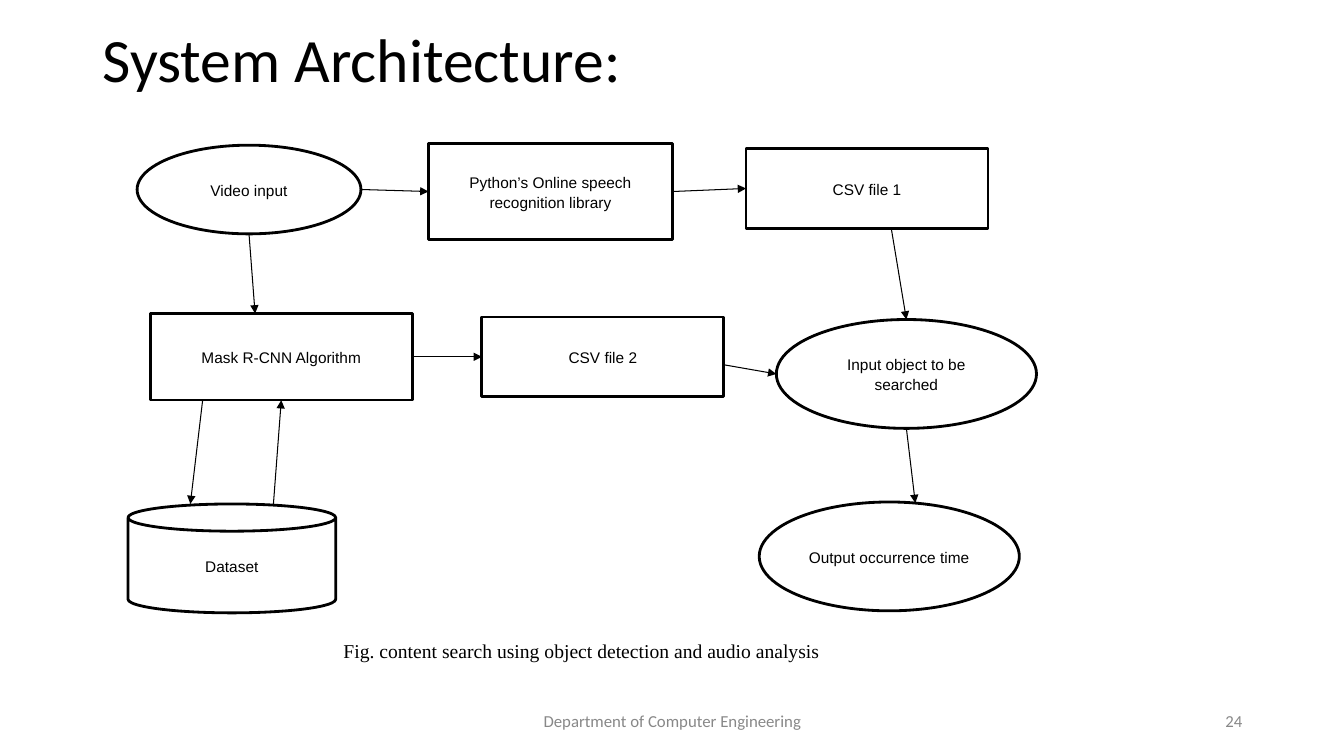
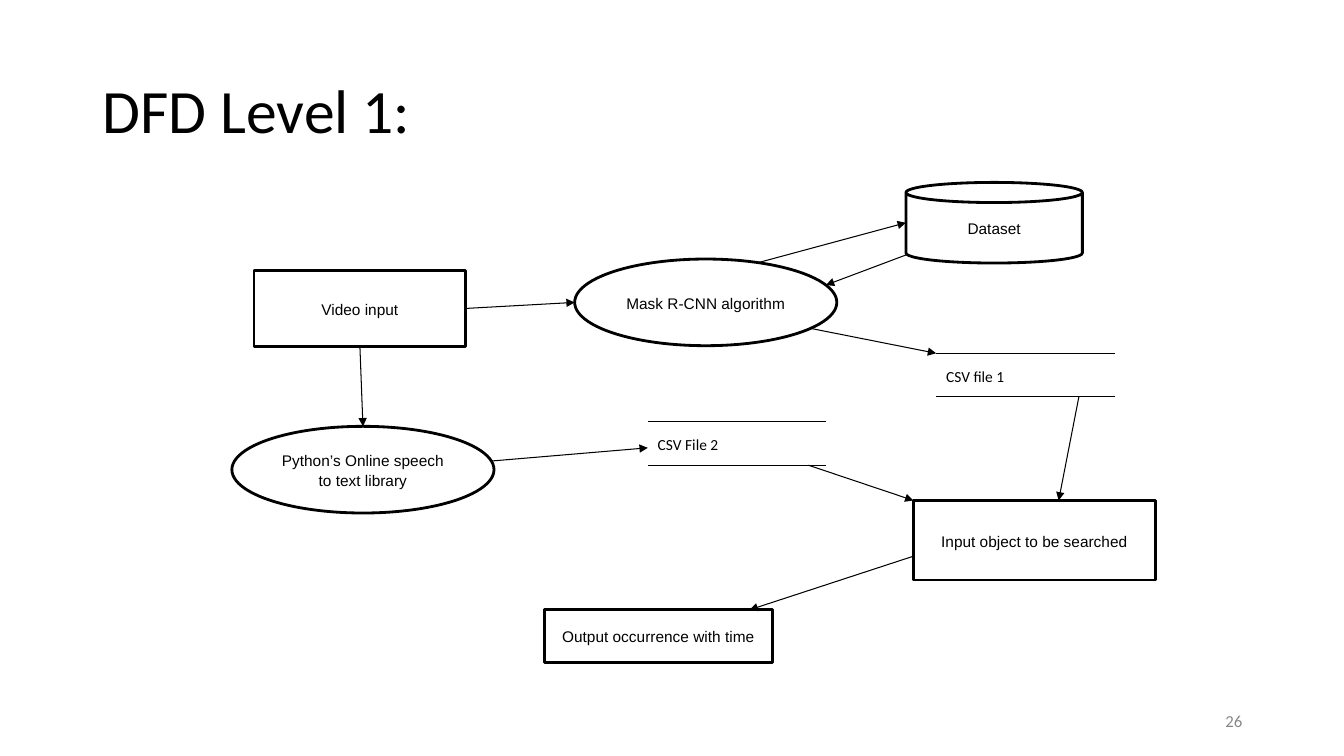
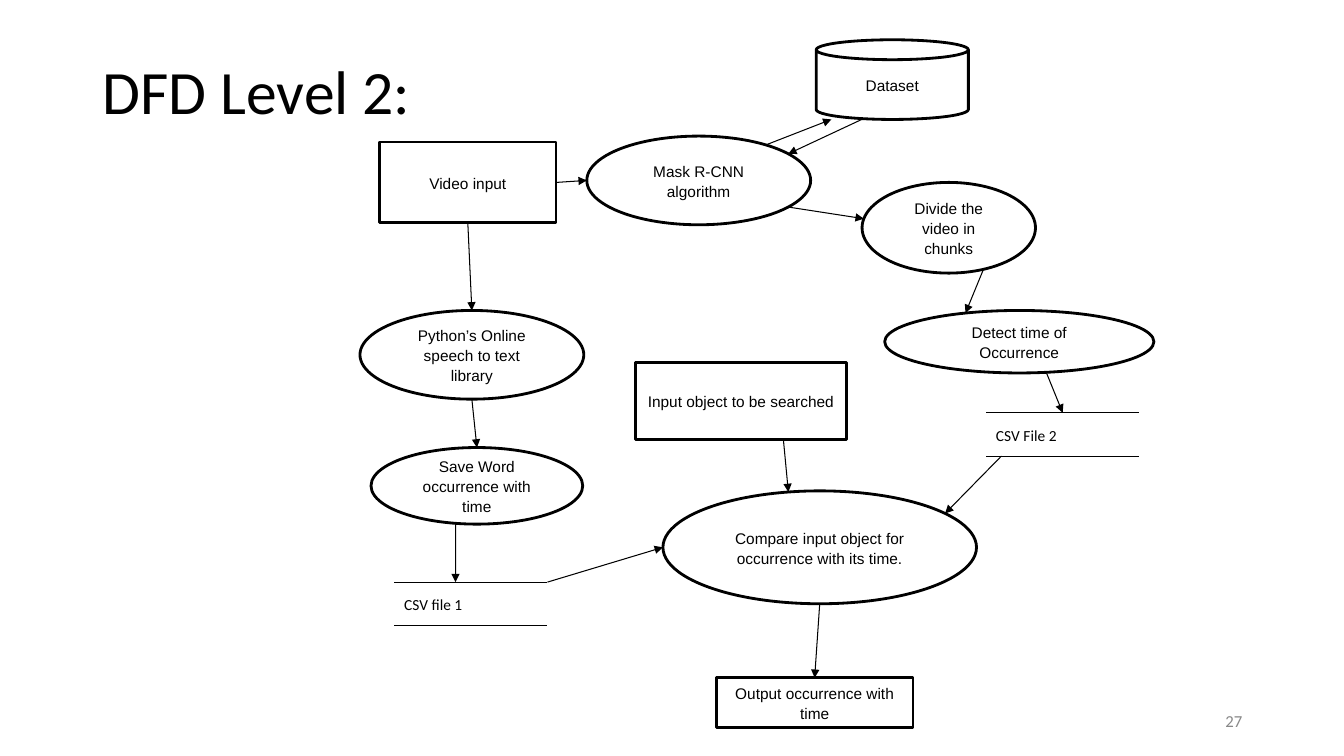
from math import sqrt

from lxml import etree
from pptx import Presentation
from pptx.dml.color import RGBColor
from pptx.enum.shapes import MSO_CONNECTOR, MSO_SHAPE
from pptx.enum.text import MSO_ANCHOR, PP_ALIGN
from pptx.oxml.ns import qn
from pptx.util import Inches, Pt

LEFT, CENTER, RIGHT = PP_ALIGN.LEFT, PP_ALIGN.CENTER, PP_ALIGN.RIGHT
TOP, MIDDLE = MSO_ANCHOR.TOP, MSO_ANCHOR.MIDDLE
BOX, OVAL, CAN = MSO_SHAPE.RECTANGLE, MSO_SHAPE.OVAL, MSO_SHAPE.CAN
STORE = "store"
STRAIGHT = MSO_CONNECTOR.STRAIGHT
BLACK, WHITE, GRAY = (RGBColor.from_string(code) for code in ("000000", "FFFFFF", "888888"))

# Theme: line widths, then text styles as font, size, colour, anchor, paragraph format
BODY = {"line_spacing": 1.07, "space_after": Pt(8)}
THEME = {
    "outline": Pt(2),
    "thin": Pt(0.75),
    "title": ("Calibri", 44, BLACK, MIDDLE, {"alignment": LEFT, "line_spacing": 0.9}),
    "footer": ("Calibri", 12, GRAY, MIDDLE, {"alignment": CENTER}),
    "number": ("Calibri", 12, GRAY, MIDDLE, {"alignment": RIGHT}),
    "node": ("Arial", 11, BLACK, MIDDLE, {"alignment": CENTER, **BODY}),
    "store": ("Calibri", 11, BLACK, TOP, {"alignment": LEFT, **BODY}),
    "caption": ("Times New Roman", 14, BLACK, TOP, {"alignment": CENTER}),
}
FOOTER = (4.42, 6.95, 4.5, 0.4)
NUMBER = (9.42, 6.95, 3, 0.4)
STORE_GAP = 0.07

# Width and height of the diagram parts
SIZES = {
    "small": (1.75, 0.8), "medium": (2.1, 0.76), "round": (2.22, 0.88),
    "plain": (2.4, 0.79), "wide": (2.6, 0.86), "large": (2.58, 1.08),
    "library": (2.42, 0.95), "drum": (2.06, 1.08), "small drum": (1.51, 0.79),
    "chunks": (1.72, 0.9), "flat": (2.67, 0.62), "compare": (3.11, 1.12),
    "long strip": (2.26, 0.52), "strip": (1.95, 0.49),
    "store": (1.77, 0.43), "short store": (1.52, 0.43),
}

# Parts are kind, size, centre x, centre y, text.
# An arrow names two parts, each with a side (N, E, S, W) and tenths along that side.
SLIDES = [
    {
        "texts": [
            ("title", "System Architecture:", (0.92, 0.12, 11.5, 1)),
            ("footer", "Department of Computer Engineering", FOOTER),
            ("number", "24", NUMBER),
            ("caption", "Fig. content search using object detection and audio analysis",
             (1.27, 6.29, 9, 0.34)),
        ],
        "parts": {
            "video": (OVAL, "round", 2.47, 1.88, "Video input"),
            "speech": (BOX, "library", 5.46, 1.9, "Python’s Online speech recognition library"),
            "csv1": (BOX, "plain", 8.6, 1.87, "CSV file 1"),
            "mask": (BOX, "wide", 2.79, 3.54, "Mask R-CNN Algorithm"),
            "dataset": (CAN, "drum", 2.3, 5.54, "Dataset"),
            "csv2": (BOX, "plain", 5.98, 3.54, "CSV file 2"),
            "input": (OVAL, "large", 8.99, 3.71, "Input object to be searched"),
            "output": (OVAL, "large", 8.82, 5.52, "Output occurrence time"),
        },
        "arrows": [
            "video E5 speech W5", "speech E5 csv1 W5", "video S5 mask N4",
            "mask E5 csv2 W5", "mask S2 dataset N3", "dataset N7 mask S5",
            "csv1 S6 input N5", "csv2 E6 input W5", "input S5 output N6",
        ],
    },
    {
        "texts": [
            ("title", "DFD Level 1:", (0.92, 0.4, 11.5, 1.45)),
            ("number", "26", NUMBER),
        ],
        "parts": {
            "video": (BOX, "medium", 3.57, 3.06, "Video input"),
            "mask": (OVAL, "wide", 7, 3, "Mask R-CNN algorithm"),
            "csv1": (STORE, "store", 10.17, 3.72, "CSV file 1"),
            "dataset": (CAN, "small", 9.86, 2.21, "Dataset"),
            "speech": (OVAL, "wide", 3.6, 4.66, "Python’s Online speech to text library"),
            "csv2": (STORE, "store", 7.31, 4.4, "CSV File 2"),
            "input": (BOX, "plain", 10.26, 5.36, "Input object to be searched"),
            "output": (BOX, "long strip", 6.53, 6.31, "Output occurrence with time"),
        },
        "arrows": [
            "video E5 mask W5", "mask N7 dataset W5", "dataset W9 mask E3",
            "mask S9 csv1 N0", "video S5 speech N5", "speech E4 csv2 W6",
            "csv2 S9 input N0", "csv1 S8 input N6", "input W7 output N9",
        ],
    },
    {
        "texts": [
            ("title", "DFD Level 2:", (0.92, 0.4, 11.5, 1.08)),
            ("number", "27", NUMBER),
        ],
        "parts": {
            "csv2": (STORE, "short store", 10.54, 4.31, "CSV File 2"),
            "video": (BOX, "small", 4.64, 1.81, "Video input"),
            "mask": (OVAL, "round", 6.93, 1.79, "Mask R-CNN algorithm"),
            "dataset": (CAN, "small drum", 8.85, 0.79, "Dataset"),
            "speech": (OVAL, "round", 4.68, 3.52, "Python’s Online speech to text library"),
            "input": (BOX, "medium", 7.35, 3.98, "Input object to be searched"),
            "divide": (OVAL, "chunks", 9.41, 2.26, "Divide the video in chunks"),
            "detect": (OVAL, "flat", 10.11, 3.39, "Detect time of Occurrence"),
            "csv1": (STORE, "short store", 4.67, 5.99, "CSV file 1"),
            "output": (BOX, "strip", 8.08, 6.97, "Output occurrence with time"),
            "save": (OVAL, "medium", 4.73, 4.82, "Save Word occurrence with time"),
            "compare": (OVAL, "compare", 8.13, 5.43,
                        "Compare input object for occurrence with its time."),
        },
        "arrows": [
            "mask N8 dataset S1", "dataset S3 mask N9", "video E5 mask W5",
            "mask S9 divide W4", "video S5 speech N5", "detect S6 csv2 N5",
            "divide S7 detect N3", "input S7 compare N4", "speech S5 save N5",
            "save S4 csv1 N4", "csv1 E0 compare W5", "csv2 S1 compare E2",
            "compare S5 output N5",
        ],
    },
]


def write_text(shape, text, style):
    font_name, size, color, anchor, paragraph_format = THEME[style]
    frame = shape.text_frame
    paragraph = frame.paragraphs[0]
    run = paragraph.add_run()
    run.text = text
    run.font.color.rgb = color
    for target, values in (
        (frame, {"vertical_anchor": anchor, "word_wrap": True}),
        (paragraph, paragraph_format),
        (run.font, {"name": font_name, "size": Pt(size)}),
    ):
        for name, value in values.items():
            setattr(target, name, value)


def outline_point(part, site):
    """Point on the part's outline, following the curve of an oval."""
    kind, size, center_x, center_y, _ = part
    width, height = SIZES[size]
    side, along = site[0], int(site[1]) / 10
    reach = sqrt(along * (1 - along)) if kind == OVAL else 0.5
    across = 0.5 + reach if side in "ES" else 0.5 - reach
    x, y = (along, across) if side in "NS" else (across, along)
    return center_x + (x - 0.5) * width, center_y + (y - 0.5) * height


presentation = Presentation()
presentation.slide_width, presentation.slide_height = Inches(13.33), Inches(7.5)
blank_layout = presentation.slide_layouts[6]

for content in SLIDES:
    slide = presentation.slides.add_slide(blank_layout)
    parts = content["parts"]
    lines = []

    # Title, footer, slide number and caption
    for style, text, place in content["texts"]:
        write_text(slide.shapes.add_textbox(*map(Inches, place)), text, style)

    # Nodes, and data stores as a label between two rules
    for kind, size, center_x, center_y, text in parts.values():
        width, height = SIZES[size]
        left, top = center_x - width / 2, center_y - height / 2
        preset, style, line_color, line_width = kind, "node", BLACK, THEME["outline"]
        if kind == STORE:
            lines += [((left, y, left + width, y), False) for y in (top, top + height)]
            top, height = top + STORE_GAP, height - 2 * STORE_GAP
            preset, style, line_color, line_width = BOX, "store", WHITE, THEME["thin"]
        shape = slide.shapes.add_shape(preset, *map(Inches, (left, top, width, height)))
        shape.shadow.inherit = False
        shape.fill.solid()
        shape.fill.fore_color.rgb = WHITE
        shape.line.color.rgb = line_color
        shape.line.width = line_width
        write_text(shape, text, style)

    # Store rules and flow arrows
    for arrow in content["arrows"]:
        source, start, target, end = arrow.split()
        ends = outline_point(parts[source], start) + outline_point(parts[target], end)
        lines.append((ends, True))
    for ends, has_head in lines:
        connector = slide.shapes.add_connector(STRAIGHT, *map(Inches, ends))
        connector.line.color.rgb = BLACK
        connector.line.width = THEME["thin"]
        properties = connector._element.spPr
        if has_head:
            etree.SubElement(properties.find(qn("a:ln")), qn("a:tailEnd"), type="triangle")
        etree.SubElement(properties, qn("a:effectLst"))

presentation.save("out.pptx")
